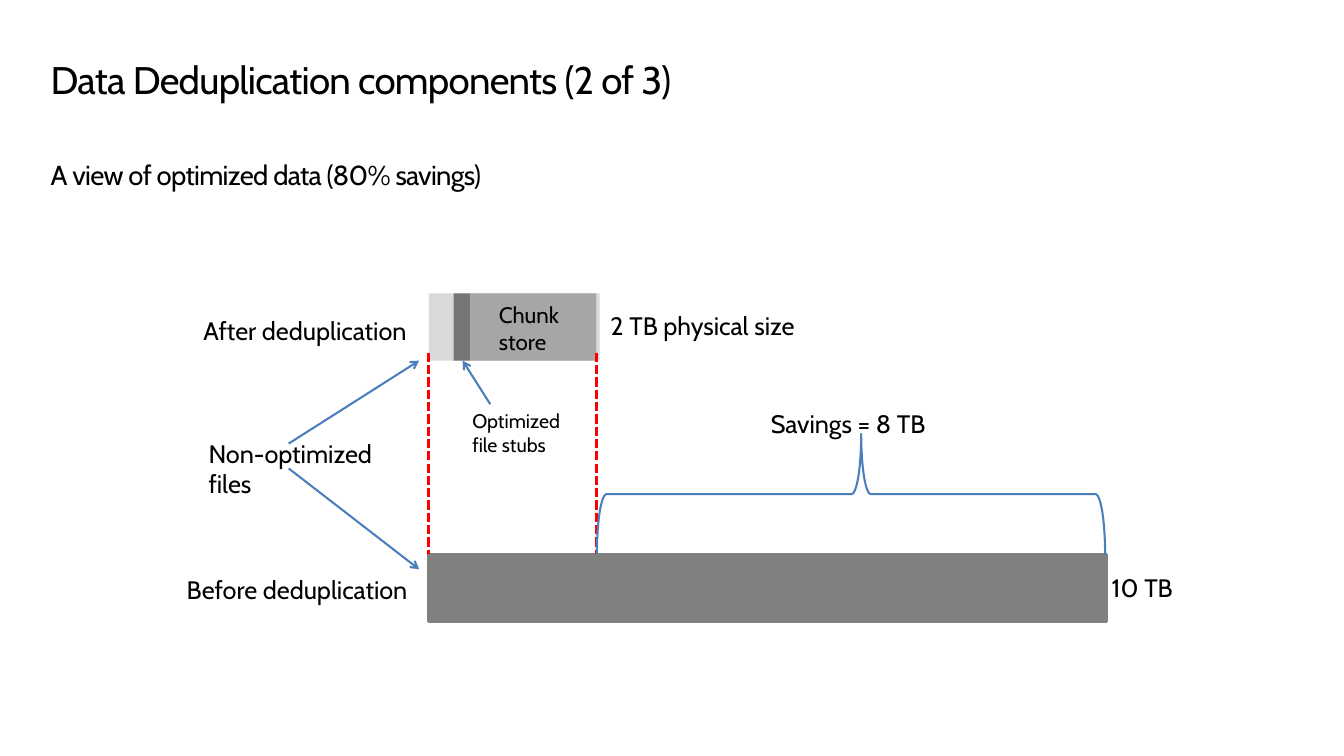
from lxml.etree import SubElement
from pptx import Presentation
from pptx.dml.color import RGBColor
from pptx.enum.dml import MSO_LINE
from pptx.enum.shapes import MSO_CONNECTOR, MSO_SHAPE
from pptx.enum.text import MSO_ANCHOR, PP_ALIGN
from pptx.oxml.ns import qn
from pptx.util import Cm, Pt

FONT = "Cabin"
BLACK = RGBColor(0x00, 0x00, 0x00)
RED = RGBColor(0xFF, 0x00, 0x00)
BLUE = RGBColor(0x4B, 0x7E, 0xBC)
LIGHT_GRAY = RGBColor(0xD9, 0xD9, 0xD9)
MID_GRAY = RGBColor(0xA6, 0xA6, 0xA6)
DARK_GRAY = RGBColor(0x76, 0x76, 0x76)
GRAY = RGBColor(0x80, 0x80, 0x80)

TITLE = "Data Deduplication components (2 of 3)"
SUBTITLE = "A view of optimized data (80% savings)"

BAR_LEFT, BAR_HEIGHT = 11.02, 1.73
AFTER_TOP, BEFORE_TOP = 7.54, 14.25
BEFORE_WIDTH = 17.42
SAVINGS_LEFT, SAVINGS_RIGHT, SAVINGS_TOP = 15.34, 28.4, 11.15
GUIDE_TOP = 9.07

BARS = [
    (BAR_LEFT, AFTER_TOP, 4.39, LIGHT_GRAY),
    (BAR_LEFT, BEFORE_TOP, BEFORE_WIDTH, GRAY),
    (11.66, AFTER_TOP, 0.43, DARK_GRAY),
    (12.09, AFTER_TOP, 3.23, MID_GRAY),
]
LABELS = [
    (["After deduplication"], 4.98, 7.98, 6.2, 18.4),
    (["Before deduplication"], 4.55, 14.63, 6.65, 18.4),
    (["Chunk", "store"], 12.57, 7.62, 2.36, 16.3),
    (["Non-optimized", "files"], 5.11, 11.13, 5.18, 18.4),
    (["2 TB physical size"], 15.44, 7.85, 5.59, 18.4),
    (["10 TB"], 28.32, 14.58, 2.5, 18.4),
    (["Savings = 8 TB"], 19.56, 10.36, 5.03, 18.4),
    (["Optimized", "file stubs"], 11.89, 10.39, 3.05, 14.3),
]
ARROWS = [
    (7.42, 11.4, 10.77, 9.27),
    (7.42, 12.04, 10.77, 14.63),
    (12.6, 10.39, 11.89, 9.27),
]


def set_font(paragraph, size):
    paragraph.font.name = FONT
    paragraph.font.size = Pt(size)
    paragraph.font.color.rgb = BLACK


def fill_placeholder(placeholder, text, size, box):
    placeholder.left, placeholder.top, placeholder.width, placeholder.height = map(Cm, box)
    frame = placeholder.text_frame
    frame.text = text
    frame.vertical_anchor = MSO_ANCHOR.TOP
    frame.margin_left = frame.margin_top = frame.margin_bottom = 0
    paragraph = frame.paragraphs[0]
    paragraph.alignment = PP_ALIGN.LEFT
    paragraph.space_before = Pt(0)
    properties = paragraph._p.get_or_add_pPr()
    properties.set("marL", "0")
    properties.set("indent", "0")
    SubElement(properties, qn("a:buNone"))
    set_font(paragraph, size)
    paragraph.runs[0]._r.get_or_add_rPr().set("spc", "-50")
    return paragraph


def add_bar(slide, left, top, width, color):
    bar = slide.shapes.add_shape(
        MSO_SHAPE.RECTANGLE, Cm(left), Cm(top), Cm(width), Cm(BAR_HEIGHT))
    bar.shadow.inherit = False
    bar.fill.solid()
    bar.fill.fore_color.rgb = color
    if color == GRAY:
        bar.line.color.rgb = color
        bar.line.width = Pt(2)
    else:
        bar.line.fill.background()


def add_line(slide, ends, color, width):
    line = slide.shapes.add_connector(MSO_CONNECTOR.STRAIGHT, *map(Cm, ends))
    line.line.color.rgb = color
    line.line.width = Pt(width)
    SubElement(line._element.spPr, qn("a:effectLst"))
    return line


def add_label(slide, lines, left, top, width, size):
    height = 0.25 + len(lines) * size * 0.0425
    label = slide.shapes.add_textbox(Cm(left), Cm(top), Cm(width), Cm(height))
    frame = label.text_frame
    frame.word_wrap = True
    frame.text = "\n".join(lines)
    for paragraph in frame.paragraphs:
        set_font(paragraph, size)


def add_savings_brace(slide):
    span, depth = SAVINGS_RIGHT - SAVINGS_LEFT, BEFORE_TOP - SAVINGS_TOP
    left = (SAVINGS_LEFT + SAVINGS_RIGHT - depth) / 2
    top = (SAVINGS_TOP + BEFORE_TOP - span) / 2
    brace = slide.shapes.add_shape(
        MSO_SHAPE.LEFT_BRACE, Cm(left), Cm(top), Cm(depth), Cm(span))
    brace.rotation = 90
    brace.adjustments[0], brace.adjustments[1] = 0.08, 0.48
    brace.shadow.inherit = False
    brace.fill.background()
    brace.line.color.rgb = BLUE
    brace.line.width = Pt(1.5)


def main():
    """Build the slide comparing storage before and after deduplication."""
    deck = Presentation()
    deck.slide_width, deck.slide_height = Cm(34.54), Cm(19.43)
    slide = deck.slides.add_slide(deck.slide_layouts[1])

    title = fill_placeholder(slide.shapes.title, TITLE, 28, (1.3, 1.57, 32.03, 1.14))
    title.line_spacing = 0.9
    fill_placeholder(slide.placeholders[1], SUBTITLE, 20, (1.3, 4.06, 32.05, 14.12))

    for bar in BARS:
        add_bar(slide, *bar)
    for x in (BAR_LEFT, SAVINGS_LEFT):
        guide = add_line(slide, (x, GUIDE_TOP, x, BEFORE_TOP), RED, 2.25)
        guide.line.dash_style = MSO_LINE.SQUARE_DOT
    for label in LABELS:
        add_label(slide, *label)
    for ends in ARROWS:
        arrow = add_line(slide, ends, BLUE, 1.5)
        SubElement(arrow.line._get_or_add_ln(), qn("a:tailEnd"), type="arrow")
    add_savings_brace(slide)

    deck.save("out.pptx")


if __name__ == "__main__":
    main()
